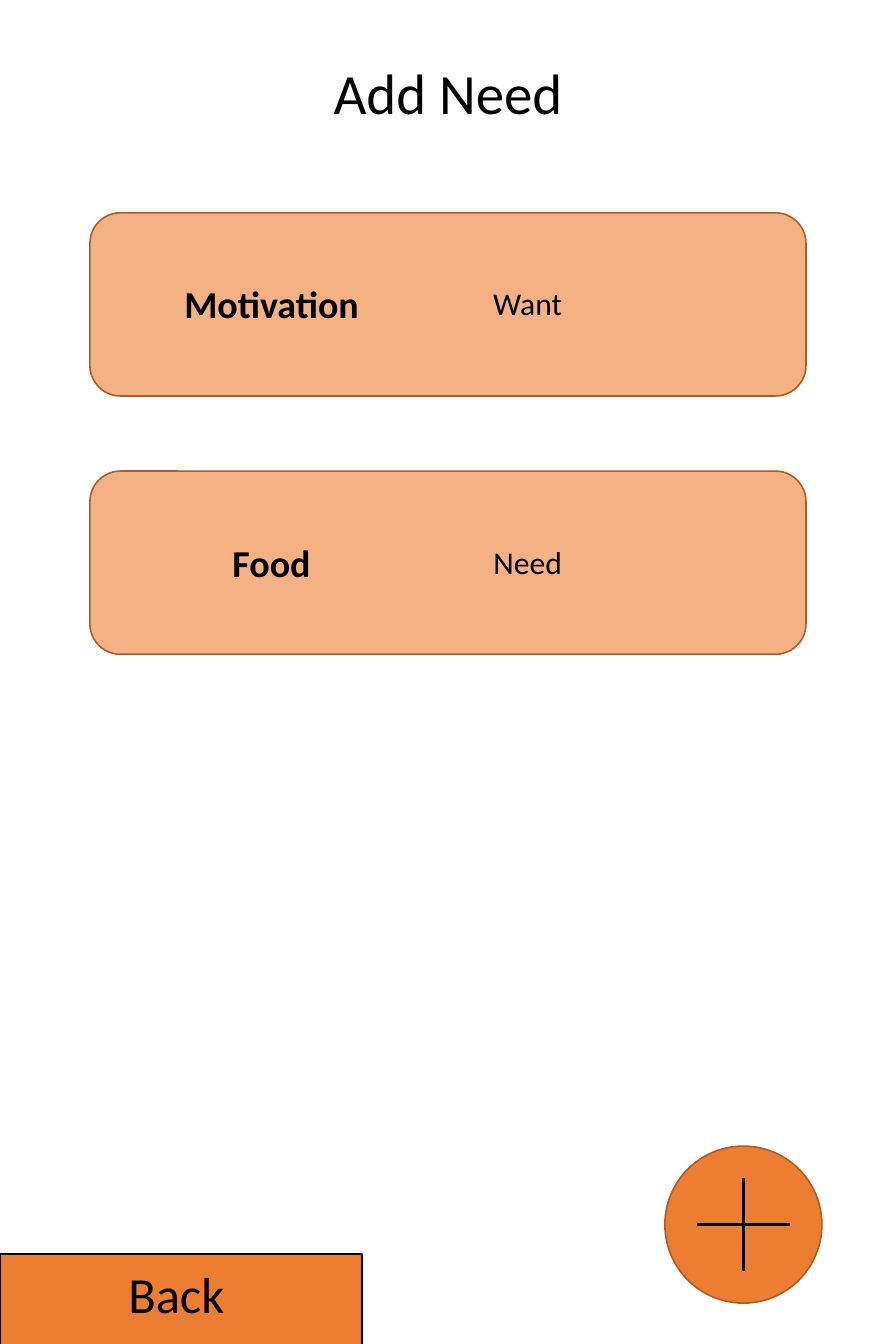
from dataclasses import dataclass

from pptx import Presentation
from pptx.dml.color import RGBColor
from pptx.enum.shapes import MSO_SHAPE
from pptx.enum.text import MSO_ANCHOR, PP_ALIGN
from pptx.slide import Slide
from pptx.util import Inches, Pt

RECT = MSO_SHAPE.RECTANGLE
ROUND = MSO_SHAPE.ROUNDED_RECTANGLE
OVAL = MSO_SHAPE.OVAL
PLUS = MSO_SHAPE.MATH_PLUS
CENTER = PP_ALIGN.CENTER
TOP = MSO_ANCHOR.TOP
MIDDLE = MSO_ANCHOR.MIDDLE

BLACK = RGBColor(0x00, 0x00, 0x00)
ORANGE = RGBColor(0xED, 0x7D, 0x31)
PEACH = RGBColor(0xF4, 0xB1, 0x83)
RUST = RGBColor(0xAF, 0x5C, 0x24)

WIDTH = Inches(7.87)
HEIGHT = Inches(11.81)
CARD_TOP = 15.83
CARD_STEP = 19.22


@dataclass
class Area:
    """Left, top, width and height in percent of the slide."""
    left: float
    top: float
    width: float
    height: float

    def box(self) -> tuple[int, int, int, int]:
        return (
            int(WIDTH * self.left / 100),
            int(HEIGHT * self.top / 100),
            int(WIDTH * self.width / 100),
            int(HEIGHT * self.height / 100),
        )


@dataclass
class Panel:
    kind: MSO_SHAPE
    area: Area
    fill: RGBColor
    line: RGBColor
    adjust: float | None = None


@dataclass
class Label:
    text: str
    area: Area
    size: int
    bold: bool = False
    anchor: MSO_ANCHOR = TOP
    spacing: float = 1.0


@dataclass
class Need:
    name: str
    kind: str


NEEDS = [Need("Motivation", "Want"), Need("Food", "Need")]


def add_panel(slide: Slide, panel: Panel) -> None:
    shape = slide.shapes.add_shape(panel.kind, *panel.area.box())
    shape.shadow.inherit = False
    shape.fill.solid()
    shape.fill.fore_color.rgb = panel.fill
    shape.line.color.rgb = panel.line
    shape.line.width = Pt(1)
    if panel.adjust is not None:
        shape.adjustments[0] = panel.adjust


def add_label(slide: Slide, label: Label) -> None:
    frame = slide.shapes.add_textbox(*label.area.box()).text_frame
    frame.word_wrap = True
    frame.vertical_anchor = label.anchor
    line = frame.paragraphs[0]
    line.alignment = CENTER
    line.line_spacing = label.spacing
    run = line.add_run()
    run.text = label.text
    style = {"name": "Calibri", "size": Pt(label.size), "bold": label.bold}
    for key, value in style.items():
        setattr(run.font, key, value)
    run.font.color.rgb = BLACK


def add_card(slide: Slide, need: Need, top: float) -> None:
    add_panel(slide, Panel(ROUND, Area(10.04, top, 79.92, 13.63), PEACH, RUST))
    add_label(slide, Label(need.name, Area(15.63, top + 4.66, 29.35, 4.23), 24, bold=True))
    add_label(slide, Label(need.kind, Area(46.25, top + 4.91, 25.29, 3.73), 20))


def main() -> None:
    deck = Presentation()
    deck.slide_width = WIDTH
    deck.slide_height = HEIGHT
    slide = deck.slides.add_slide(deck.slide_layouts[6])

    add_label(slide, Label("Add Need", Area(6.86, 4.32, 86.28, 5.59), 36, anchor=MIDDLE, spacing=0.9))
    add_panel(slide, Panel(RECT, Area(0, 93.31, 40.41, 6.94), ORANGE, BLACK))
    add_label(slide, Label("Back", Area(5.84, 93.56, 27.7, 5.42), 32))
    add_panel(slide, Panel(OVAL, Area(74.21, 85.27, 17.53, 11.69), ORANGE, RUST))
    add_panel(slide, Panel(PLUS, Area(75.98, 86.45, 13.98, 9.31), BLACK, BLACK, 0.01))
    for row, need in enumerate(NEEDS):
        add_card(slide, need, CARD_TOP + row * CARD_STEP)

    deck.save("out.pptx")


if __name__ == "__main__":
    main()
